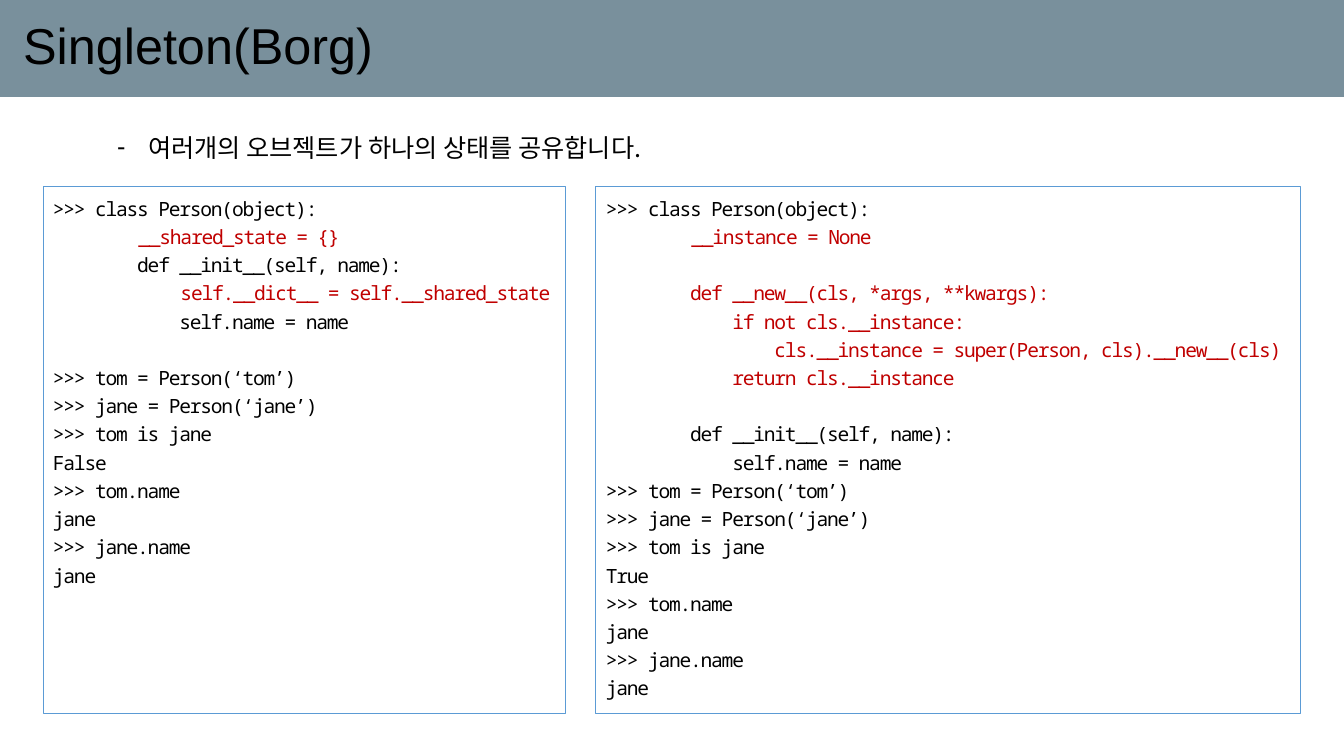
from lxml.etree import SubElement
from pptx import Presentation
from pptx.dml.color import RGBColor
from pptx.enum.shapes import MSO_SHAPE as Preset
from pptx.enum.text import MSO_ANCHOR as Anchor, MSO_AUTO_SIZE as AutoSize, PP_ALIGN as Align
from pptx.oxml.ns import qn
from pptx.text.text import Font
from pptx.util import Pt

EMU_PER_PX = 12192000 / 1344
COLORS = {"banner": "79909C", "text": "000000", "border": "5B9BD5", "key": "C00000"}

CLASS_LINE = ">>> class Person(object):"
INIT_LINE = "        def __init__(self, name):"
NAME_LINE = "            self.name = name"
RED_MARK = "|"

SHARED_STATE_CLASS = [
    CLASS_LINE,
    "        |__shared_state = {}",
    INIT_LINE,
    "            |self.__dict__ = self.__shared_state",
    NAME_LINE,
    "",
]
SINGLE_INSTANCE_CLASS = [
    CLASS_LINE,
    "        |__instance = None",
    "",
    "|        def __new__(cls, *args, **kwargs):",
    "|            if not cls.__instance:",
    "|                cls.__instance = super(Person, cls).__new__(cls)",
    "|            return cls.__instance",
    "",
    INIT_LINE,
    NAME_LINE,
]


def px(length):
    """Turn pixels into EMU."""
    return round(length * EMU_PER_PX)


def color(name):
    """Look up a named colour."""
    return RGBColor.from_string(COLORS[name])


def place(shape, left, top, width, height):
    """Move and size a shape in pixels."""
    shape.left, shape.top = px(left), px(top)
    shape.width, shape.height = px(width), px(height)


def style_font(font, face, size, color_name="text"):
    """Set face, size and colour, for Latin and East Asian letters."""
    font.name, font.size = face, Pt(size)
    font.color.rgb = color(color_name)
    font._rPr.find(qn("a:latin")).addnext(
        SubElement(font._rPr, qn("a:ea"), typeface=face))


def style_code(font, color_name="text"):
    """Format code with slightly tightened letters."""
    style_font(font, "Noto Sans Mono", 14, color_name)
    font._rPr.set("spc", "-90")


def fill_title(title, wording):
    """Show the title on a banner across the slide."""
    place(title, 0, 0, 1344, 97)
    title.fill.solid()
    title.fill.fore_color.rgb = color("banner")
    frame = title.text_frame
    frame.text = wording
    frame.auto_size = AutoSize.NONE
    frame.vertical_anchor = Anchor.MIDDLE
    frame.margin_left = px(23)
    heading = frame.paragraphs[0]
    heading.alignment, heading.line_spacing = Align.LEFT, 0.9
    style_font(heading.runs[0].font, "Arial", 36)


def fill_summary(body, wording):
    """Show the summary as a dashed list item."""
    place(body, 107, 121, 1067, 46)
    frame = body.text_frame
    frame.text = wording
    frame.auto_size = AutoSize.NONE
    frame.vertical_anchor = Anchor.TOP
    point = frame.paragraphs[0]
    point.line_spacing, point.space_before = 1.2, Pt(0)
    properties = point._p.get_or_add_pPr()
    properties.set("marL", str(px(31)))
    properties.set("indent", str(-px(31)))
    SubElement(properties, qn("a:buChar"), char="-")
    style_font(point.runs[0].font, "Noto Sans CJK KR", 18)


def session(identity):
    """List the interpreter session that compares two people."""
    return [
        ">>> tom = Person(‘tom’)",
        ">>> jane = Person(‘jane’)",
        ">>> tom is jane",
        identity,
        ">>> tom.name",
        "jane",
        ">>> jane.name",
        "jane",
    ]


def write_code_line(paragraph, line):
    """Write one code line, red after the mark."""
    paragraph.alignment, paragraph.line_spacing = Align.LEFT, 1.2
    plain, _, key = line.partition(RED_MARK)
    for wording, color_name in ((plain, "text"), (key, "key")):
        if wording:
            run = paragraph.add_run()
            run.text = wording
            style_code(run.font, color_name)
    if not line:
        style_code(Font(paragraph._p.get_or_add_endParaRPr()))


def add_code_panel(slide, left, width, lines):
    """Add an outlined panel of code."""
    panel = slide.shapes.add_shape(
        Preset.RECTANGLE, px(left), px(187), px(width), px(527))
    panel.shadow.inherit = False
    panel.fill.background()
    panel.line.color.rgb = color("border")
    panel.line.width = Pt(0.75)
    frame = panel.text_frame
    frame.word_wrap = True
    frame.vertical_anchor = Anchor.TOP
    for number, line in enumerate(lines):
        paragraph = frame.add_paragraph() if number else frame.paragraphs[0]
        write_code_line(paragraph, line)


def main():
    """Build and save the slide."""
    deck = Presentation()
    deck.slide_width, deck.slide_height = px(1344), px(756)
    slide = deck.slides.add_slide(deck.slide_layouts[1])
    title, summary = slide.placeholders
    fill_title(title, "Singleton(Borg)")
    fill_summary(summary, "여러개의 오브젝트가 하나의 상태를 공유합니다.")
    add_code_panel(slide, 43, 523, SHARED_STATE_CLASS + session("False"))
    add_code_panel(slide, 596, 705, SINGLE_INSTANCE_CLASS + session("True"))
    deck.save("out.pptx")


if __name__ == "__main__":
    main()
